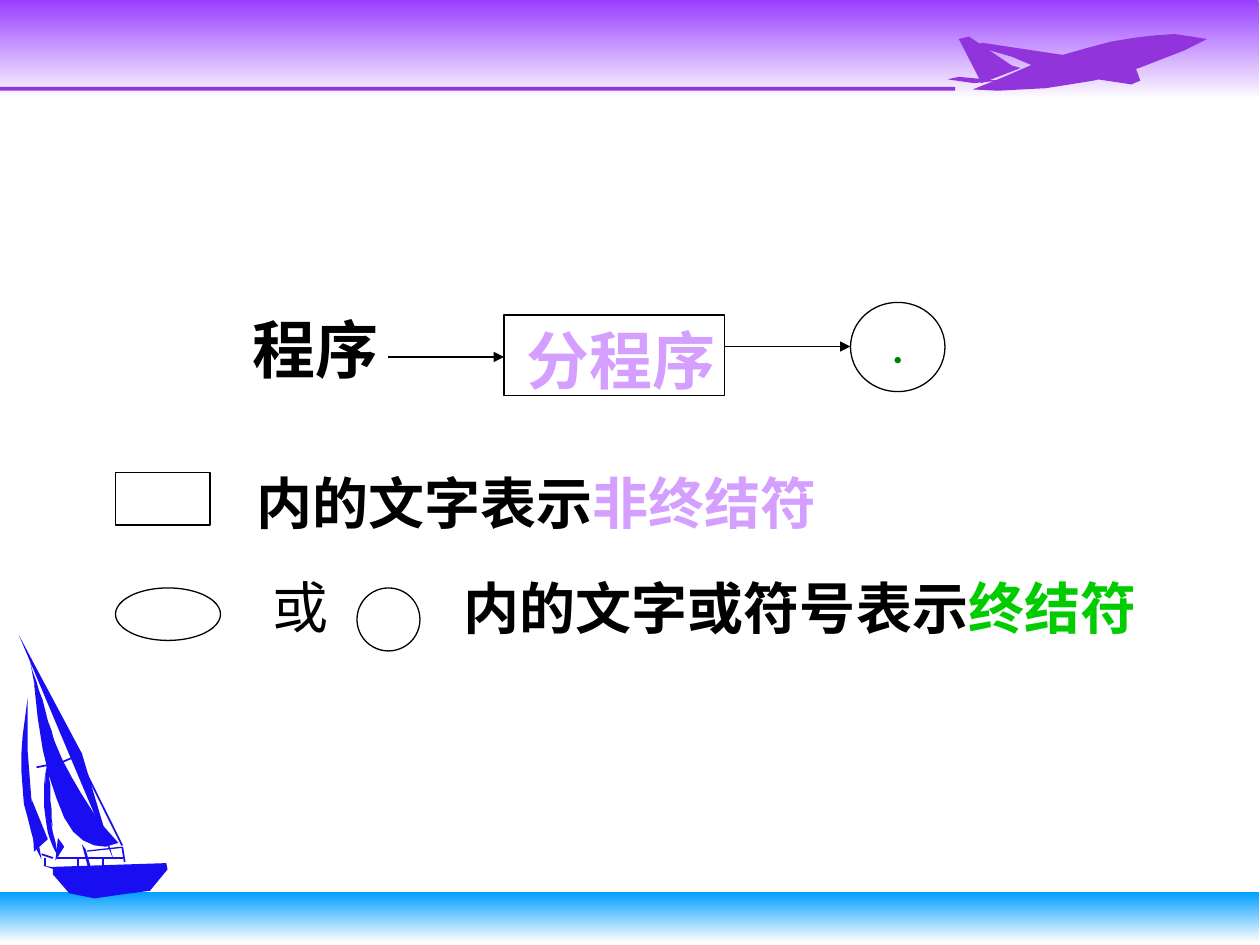
import pptx
import pptx.util
import pptx.dml.color
import pptx.enum.shapes
import pptx.oxml
import pptx.oxml.ns

rgb = pptx.dml.color.RGBColor.from_string
THEME = {
    "ink": rgb("000000"), "nonterminal": rgb("D49FFF"), "terminal": rgb("00CC00"),
    "dot": rgb("008000"), "plane": rgb("9234DB"), "boat": rgb("190EF2"),
    "sky": rgb("993FFF"), "sea": rgb("009FFF"), "fade": rgb("FEFEFE"),
    "latin": "Lato", "cjk": "Noto Sans CJK SC",
    "diagram": 36, "legend": 32, "symbol": 24, "thin": 0.75, "rigging": 1,
}
MSO = pptx.enum.shapes.MSO_SHAPE
STRAIGHT = pptx.enum.shapes.MSO_CONNECTOR.STRAIGHT
qn = pptx.oxml.ns.qn

prs = pptx.Presentation()
prs.slide_width = pptx.util.Inches(10)
prs.slide_height = pptx.util.Inches(7.5)
s = prs.slides.add_slide(prs.slide_layouts[6])
shapes = s.shapes
cell = prs.slide_width / 120
fine = prs.slide_width / 1000


def style(sp, fill=None, line=None):
    sp.shadow.inherit = False
    if fill:
        sp.fill.solid()
        sp.fill.fore_color.rgb = THEME[fill]
    else:
        sp.fill.background()
    if line:
        sp.line.color.rgb = THEME[line]
        sp.line.width = pptx.util.Pt(THEME["thin"])
    else:
        sp.line.fill.background()


def curve(start, control, end, steps=10):
    points = []
    for t in [i / steps for i in range(steps + 1)]:
        weights = ((1 - t) ** 2, 2 * t * (1 - t), t ** 2)
        points.append(tuple(sum(w * v for w, v in zip(weights, axis))
                            for axis in zip(start, control, end)))
    return points


for top, height, color in [(0, 79, "sky"), (708, 40, "sea")]:
    sp = shapes.add_shape(MSO.RECTANGLE, *[round(v * fine) for v in (0, top, 999, height)])
    style(sp)
    sp.fill.gradient()
    sp.fill.gradient_angle = 270
    for stop, position, name in zip(sp.fill.gradient_stops, (0, 1), (color, "fade")):
        stop.position = position
        stop.color.rgb = THEME[name]

rule = shapes.add_shape(MSO.RECTANGLE, *[round(v * fine) for v in (0, 69, 758, 3)])
style(rule, "plane")

# Each leaf is two curves that share their ends: start, end, one control per side
leaves = {
    "plane": {
        "fuselage": [(772, 71), (958, 31), (900, 15), (870, 77)],
    },
    "boat": {
        "mainsail": [(27, 542), (94, 669), (53, 628), (42, 692)],
        "topsail": [(24, 525), (48, 604), (36, 564), (34, 581)],
        "staysail": [(38, 595), (42, 656), (39, 620), (33, 630)],
        "mizzen": [(36, 613), (47, 680), (38, 650), (32, 663)],
        "jib": [(22, 554), (33, 682), (20, 626), (8, 632)],
    },
}
panels = {
    "plane": {
        "fin": [(761, 31), (769, 29), (803, 52), (810, 54), (779, 66)],
        "far wing": [(860, 46), (780, 34), (772, 36), (803, 45), (822, 53)],
        "near wing": [(864, 62), (898, 67), (905, 64), (901, 53)],
        "tailplane": [(793, 64), (773, 66), (752, 63), (761, 61)],
    },
    "boat": {
        "hull": [(42, 688), (132, 685), (133, 690), (119, 707), (96, 710),
                 (75, 713), (55, 709), (42, 694)],
        "headsail": [(15, 504), (25, 523), (65, 598), (90, 682)],
        "jib foot": [(25, 634), (38, 666), (27, 676)],
        "mizzen foot": [(46, 665), (51, 672), (44, 683)],
        "tiller": [(34, 687), (47, 689), (46, 691)],
        "boom": [(69, 675), (96, 672), (97, 673), (69, 676)],
        "mast foot": [(65, 670), (68, 674), (72, 688), (70, 689)],
    },
}
for craft in panels:
    outlines = list(panels[craft].values())
    for start, end, over, under in leaves[craft].values():
        outlines.append(curve(start, over, end) + curve(end, under, start)[1:-1])
    for points in outlines:
        fb = shapes.build_freeform(*points[0], scale=fine)
        fb.add_line_segments(points[1:])
        style(fb.convert_to_shape(), craft)

posts = [(x, 681, x, 687) for x in (36, 62, 82)]
stays = [(97, 671, 25, 526), (99, 684, 97, 672), (42, 681, 33, 678)]
spars = [(29, 609, 49, 605), (49, 605, 65, 598), (45, 681, 98, 681)]
flow = [(37, 34, 48, 34), (69, 33, 81, 33)]
for lines, unit, color, width in [(posts + stays + spars, fine, "boat", "rigging"),
                                  (flow, cell, "ink", "thin")]:
    for ends in lines:
        c = shapes.add_connector(STRAIGHT, *[round(v * unit) for v in ends])
        c.line.color.rgb = THEME[color]
        c.line.width = pptx.util.Pt(THEME[width])
        if lines is flow:
            ln = c._element.spPr.find(qn("a:ln"))
            ln.append(ln.makeelement(qn("a:tailEnd"), {"type": "triangle"}))
        c._element.spPr.append(c._element.makeelement(qn("a:effectLst"), {}))

symbols = {
    "block": (MSO.RECTANGLE, 48, 30, 21, 7.7),
    "box key": (MSO.RECTANGLE, 11, 45, 9, 5),
    "ellipse key": (MSO.OVAL, 11, 56, 10, 5),
    "circle key": (MSO.OVAL, 34, 56, 6, 6),
    "end": (MSO.OVAL, 81, 28.8, 9, 8.5),
}
drawn = {}
for name, (kind, *box) in symbols.items():
    drawn[name] = shapes.add_shape(kind, *[round(v * cell) for v in box])
    style(drawn[name], line="ink")

labels = [
    ((22.9, 29, 14.4, 8.4), "diagram", "cjk", True, False, [("程序", "ink")]),
    ((49, 30, 21, 8.4), "diagram", "cjk", True, True, [("分程序", "nonterminal")]),
    ((23.2, 44, 55.8, 7.7), "legend", "latin", True, False,
     [("内的文字表示", "ink"), ("非终结符", "nonterminal")]),
    ((24.8, 53.9, 7.7, 7.7), "legend", "latin", False, False, [("或", "ink")]),
    ((43, 54, 72, 7.7), "legend", "latin", True, True,
     [("内的文字或符号表示", "ink"), ("终结符", "terminal")]),
]
texts = [(drawn["end"], "symbol", "latin", True, True, [(".", "dot")])]
for box, *rest in labels:
    texts.append((shapes.add_textbox(*[round(v * cell) for v in box]), *rest))

for sp, size, font, bold, wrap, runs in texts:
    tf = sp.text_frame
    tf.word_wrap = wrap
    p = tf.paragraphs[0]
    for text, color in runs:
        r = p.add_run()
        r.text = text
        r.font.size = pptx.util.Pt(THEME[size])
        r.font.bold = bold
        r.font.name = THEME[font]
        r.font.color.rgb = THEME[color]
        latin = r._r.rPr.find(qn("a:latin"))
        latin.addnext(latin.makeelement(qn("a:ea"), {"typeface": THEME["cjk"]}))

prs.save("out.pptx")
